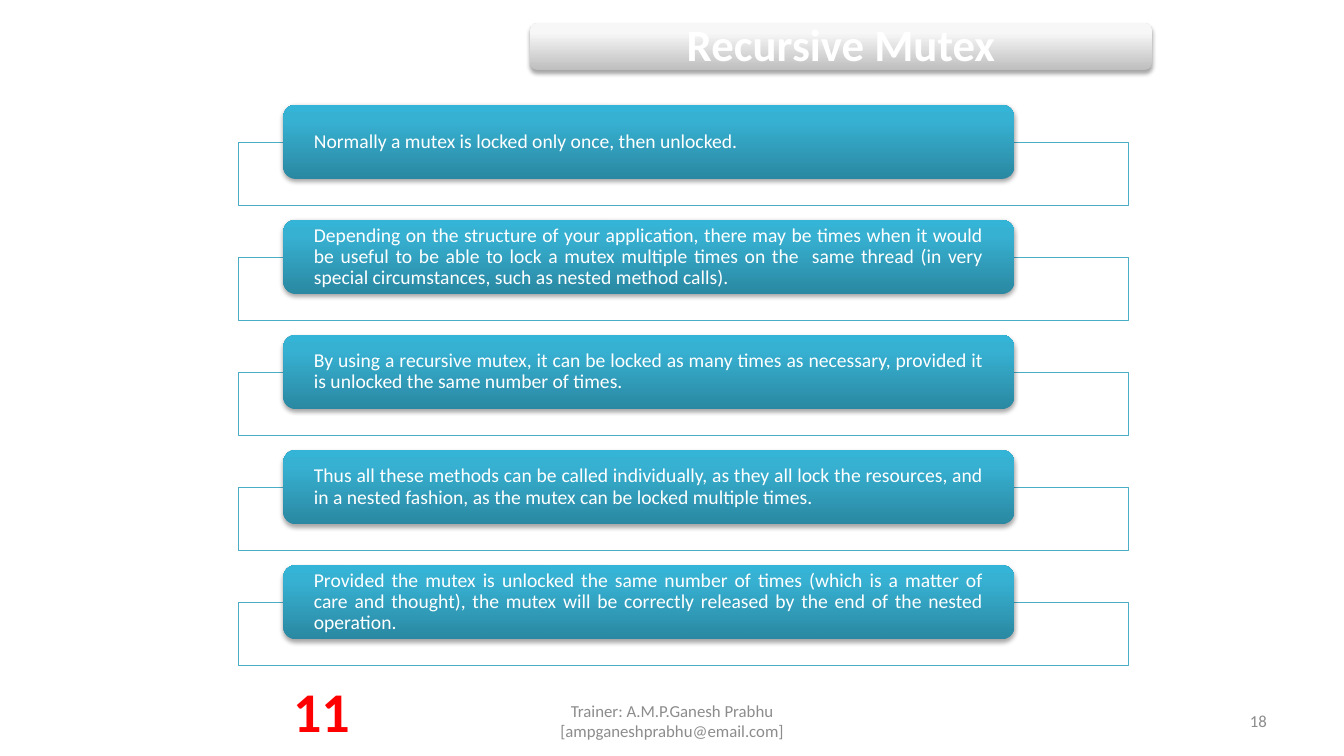
from copy import deepcopy

from lxml import etree
from pptx import Presentation
from pptx.dml.color import RGBColor
from pptx.enum.shapes import MSO_SHAPE
from pptx.enum.text import MSO_ANCHOR, MSO_AUTO_SIZE, PP_ALIGN
from pptx.oxml.ns import qn
from pptx.util import Cm, Pt

RECTANGLE = MSO_SHAPE.RECTANGLE
ROUNDED = MSO_SHAPE.ROUNDED_RECTANGLE
MIDDLE, TOP = MSO_ANCHOR.MIDDLE, MSO_ANCHOR.TOP
NO_AUTOFIT = MSO_AUTO_SIZE.NONE
LEFT, CENTER, RIGHT = PP_ALIGN.LEFT, PP_ALIGN.CENTER, PP_ALIGN.RIGHT
JUSTIFY = PP_ALIGN.JUSTIFY

WHITE = RGBColor(0xFF, 0xFF, 0xFF)
BLACK = RGBColor(0x00, 0x00, 0x00)
RED = RGBColor(0xFF, 0x00, 0x00)
GRAY = RGBColor(0x8C, 0x8C, 0x8C)
TEAL = RGBColor(0x4B, 0xAC, 0xC6)
CARD_COLORS = (RGBColor(0x2A, 0x88, 0xA2), RGBColor(0x37, 0xB1, 0xD2),
               RGBColor(0x34, 0xB4, 0xD6))
BAR_COLORS = (RGBColor(0xBE, 0xBE, 0xBE), RGBColor(0xF7, 0xF7, 0xF7),
              RGBColor(0xF8, 0xF8, 0xF8))
STOP_POSITIONS = (0, 0.8, 1)

CARD_PITCH = 2.9
STATEMENTS = (
    "Normally a mutex is locked only once, then unlocked.",
    "Depending on the structure of your application, there may be times when "
    "it would be useful to be able to lock a mutex multiple times on the  same "
    "thread (in very special circumstances, such as nested method calls).",
    "By using a recursive mutex, it can be locked as many times as necessary, "
    "provided it is unlocked the same number of times.",
    "Thus all these methods can be called individually, as they all lock the "
    "resources, and in a nested fashion, as the mutex can be locked multiple "
    "times.",
    "Provided the mutex is unlocked the same number of times (which is a matter "
    "of care and thought), the mutex will be correctly released by the end of "
    "the nested operation.",
)


def set_attributes(target, values):
    """Set every attribute named in values on the target."""
    for name, value in values.items():
        setattr(target, name, value)


def write_text(shape, text, size, color, alignment, bold=False, spacing=1.0,
               anchor=MIDDLE, side=0.25, edge=0.13):
    """Write one formatted paragraph into a shape."""
    frame = shape.text_frame
    frame.text = text
    set_attributes(frame, {
        "word_wrap": True, "auto_size": NO_AUTOFIT, "vertical_anchor": anchor,
        "margin_left": Cm(side), "margin_right": Cm(side),
        "margin_top": Cm(edge), "margin_bottom": Cm(edge)})
    paragraph = frame.paragraphs[0]
    set_attributes(paragraph, {"alignment": alignment, "line_spacing": spacing})
    font = paragraph.runs[0].font
    set_attributes(font, {"name": "Calibri", "size": Pt(size), "bold": bold})
    font.color.rgb = color


def add_text(slide, box, text, size, color, alignment, **options):
    """Add a text box at a box given in centimetres."""
    shape = slide.shapes.add_textbox(*map(Cm, box))
    write_text(shape, text, size, color, alignment, **options)


def add_drop_shadow(shape):
    """Give a shape a soft shadow below it."""
    shape.shadow.inherit = False
    effects = shape._element.spPr.find(qn("a:effectLst"))
    shadow = etree.SubElement(effects, qn("a:outerShdw"), {
        "blurRad": str(Pt(3.1)), "dist": str(Pt(1.8)), "dir": "5400000",
        "rotWithShape": "0"})
    color = etree.SubElement(shadow, qn("a:srgbClr"), val=str(BLACK))
    etree.SubElement(color, qn("a:alpha"), val="35000")


def add_glossy_bar(slide, box, colors):
    """Add a rounded bar with a three-stop vertical gradient."""
    shape = slide.shapes.add_shape(ROUNDED, *map(Cm, box))
    shape.line.fill.background()
    shape.fill.gradient()
    shape.fill.gradient_angle = 90
    stop_list = next(shape._element.spPr.iter(qn("a:gsLst")))
    stop_list.append(deepcopy(stop_list[0]))
    for stop, color, position in zip(shape.fill.gradient_stops, colors,
                                     STOP_POSITIONS):
        stop.color.rgb = color
        stop.position = position
    add_drop_shadow(shape)
    return shape


def add_outline(slide, box):
    """Add a thin teal frame with a nearly opaque white fill."""
    shape = slide.shapes.add_shape(RECTANGLE, *map(Cm, box))
    shape.shadow.inherit = False
    shape.fill.solid()
    shape.fill.fore_color.rgb = WHITE
    color = shape._element.spPr.find(qn("a:solidFill"))[0]
    etree.SubElement(color, qn("a:alpha"), val="90000")
    shape.line.color.rgb = TEAL
    shape.line.width = Pt(0.75)


def add_statement(slide, index, text):
    """Add one statement card in front of its frame."""
    offset = index * CARD_PITCH
    add_outline(slide, (6.02, 3.58 + offset, 22.43, 1.6))
    card = add_glossy_bar(slide, (7.14, 2.64 + offset, 18.42, 1.87), CARD_COLORS)
    write_text(card, text, 14, WHITE, JUSTIFY, spacing=0.9, side=0.68, edge=0)


def add_title(slide, text):
    """Place the title placeholder over its bar."""
    add_glossy_bar(slide, (13.36, 0.58, 15.67, 1.19), BAR_COLORS)
    title = slide.shapes.title
    set_attributes(title, {"left": Cm(13.41), "top": Cm(0.66),
                           "width": Cm(15.57), "height": Cm(1.07)})
    write_text(title, text, 32, WHITE, CENTER, bold=True, spacing=0.9,
               side=0.33, edge=0.33)
    slide.shapes._spTree.append(title._element)


def main():
    """Build the slide and save it."""
    presentation = Presentation()
    set_attributes(presentation, {"slide_width": Cm(33.87),
                                  "slide_height": Cm(19.05)})
    slide = presentation.slides.add_slide(presentation.slide_layouts[5])
    add_text(slide, (11.58, 17.65, 10.72, 1.02),
             "Trainer: A.M.P.Ganesh Prabhu [ampganeshprabhu@email.com]",
             12, GRAY, CENTER)
    add_text(slide, (24.28, 17.65, 7.9, 1.02), "18", 12, GRAY, RIGHT)
    for index, text in enumerate(STATEMENTS):
        add_statement(slide, index, text)
    add_title(slide, "Recursive Mutex")
    add_text(slide, (7.11, 16.92, 1.98, 1.96), "11", 40, RED, CENTER,
             bold=True, anchor=TOP)
    presentation.save("out.pptx")


if __name__ == "__main__":
    main()
